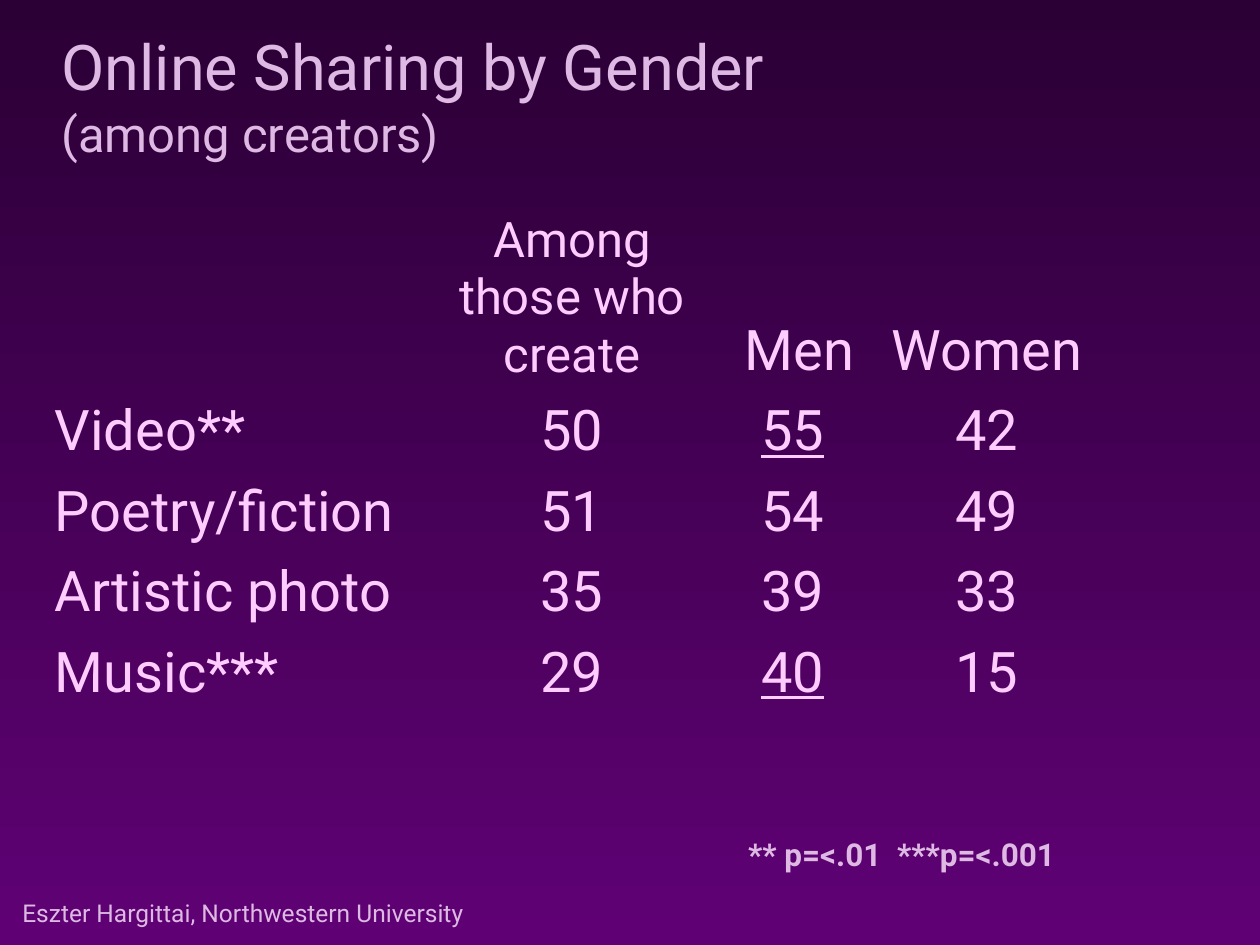
import pptx
import pptx.dml.color
import pptx.enum.text
import pptx.util

Cm = pptx.util.Cm
ALIGN = pptx.enum.text.PP_ALIGN
FONT = "Roboto"
MUTED, BRIGHT = "DEB9E3", "FFCCFF"
BACKGROUND = ("2B0035", "5F0175")
NO_STYLE_NO_GRID = "{2D5ABB26-0587-4C30-8999-92F81FD0307C}"

# Content: each text box has a place in cm, wrapping, and (text, size, bold) lines
BOXES = [
    ((0.2, 17.98, 10.03, 0.86), False,
     [("Eszter Hargittai, Northwestern University", 14, False)]),
    ((0.99, 0.43, 15.93, 2.97), False,
     [("Online Sharing by Gender", 36, False), ("(among creators)", 28, False)]),
    ((14.83, 16.71, 7.59, 1.02), True,
     [("** p=<.01  ***p=<.001", 18, True)]),
]
ROWS = [
    ("", "Among those who create", " Men", "Women", ""),
    ("Video**", "50", "55", "42", ""),
    ("Poetry/fiction", "51", "54", "49", ""),
    ("Artistic photo", "35", "39", "33", ""),
    ("Music***", "29", "40", "15", ""),
]
UNDERLINED = {"55", "40"}
TABLE_LEFT, TABLE_TOP = 0.85, 4.06
COLUMN_WIDTHS = (7.82, 5.72, 3.18, 4.65, 2.74)
ROW_HEIGHTS = (3.81,) + (1.62,) * 4


def colour(hex_string):
    return pptx.dml.color.RGBColor.from_string(hex_string)


def style(paragraph, size, hex_string, bold=False, underline=False):
    for span in paragraph.runs:
        span.font.name = FONT
        span.font.size = pptx.util.Pt(size)
        span.font.bold = bold
        span.font.underline = underline
        span.font.color.rgb = colour(hex_string)


deck = pptx.Presentation()
deck.slide_width, deck.slide_height = Cm(25.4), Cm(19.05)
page = deck.slides.add_slide(deck.slide_layouts[6])

# Background, dark at the top
fill = page.background.fill
fill.gradient()
fill.gradient_angle = 270
for stop, shade in zip(fill.gradient_stops, BACKGROUND):
    stop.color.rgb = colour(shade)

# Title, significance note and author line
for place, wrap, lines in BOXES:
    box = page.shapes.add_textbox(*map(Cm, place))
    frame = box.text_frame
    frame.word_wrap = wrap
    frame.auto_size = pptx.enum.text.MSO_AUTO_SIZE.SHAPE_TO_FIT_TEXT
    frame.text = "\n".join(text for text, _, _ in lines)
    for paragraph, (_, size, bold) in zip(frame.paragraphs, lines):
        paragraph.alignment = ALIGN.LEFT
        style(paragraph, size, MUTED, bold)

# Table of sharing rates
holder = page.shapes.add_table(
    len(ROWS), len(COLUMN_WIDTHS), Cm(TABLE_LEFT), Cm(TABLE_TOP),
    Cm(sum(COLUMN_WIDTHS)), Cm(sum(ROW_HEIGHTS)))
holder._element.xpath(".//a:tableStyleId")[0].text = NO_STYLE_NO_GRID
table = holder.table
table.first_row = table.horz_banding = False
for column, width in zip(table.columns, COLUMN_WIDTHS):
    column.width = Cm(width)
for row, height, texts in zip(table.rows, ROW_HEIGHTS, ROWS):
    row.height = Cm(height)
    for index, (cell, text) in enumerate(zip(row.cells, texts)):
        cell.fill.background()
        cell.vertical_anchor = pptx.enum.text.MSO_ANCHOR.BOTTOM
        cell.text_frame.text = text
        paragraph = cell.text_frame.paragraphs[0]
        paragraph.alignment = ALIGN.CENTER if index else ALIGN.LEFT
        size = 28 if text == ROWS[0][1] else 32
        style(paragraph, size, BRIGHT, underline=text in UNDERLINED)

deck.save("out.pptx")
